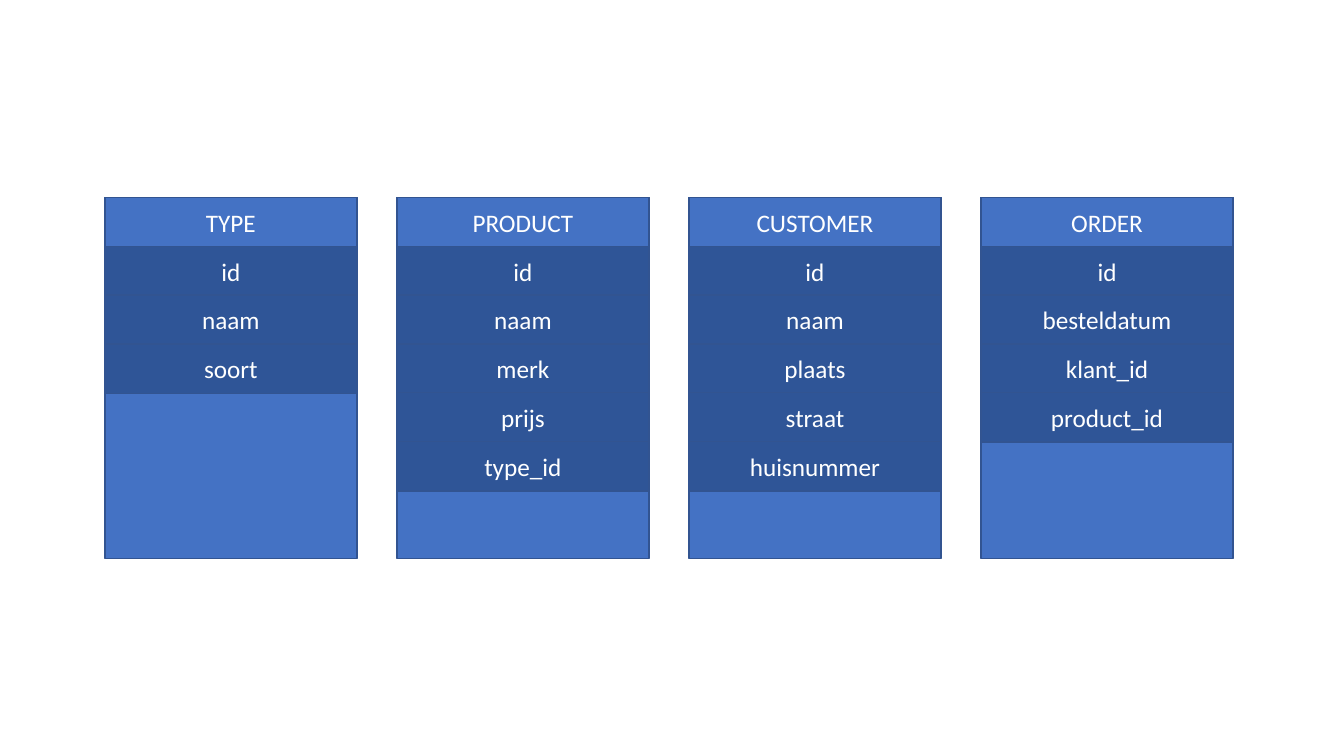
from pptx import Presentation
from pptx.dml.color import RGBColor
from pptx.enum.shapes import MSO_SHAPE
from pptx.enum.text import MSO_ANCHOR, PP_ALIGN
from pptx.util import Inches, Pt

RECTANGLE = MSO_SHAPE.RECTANGLE
MIDDLE = MSO_ANCHOR.MIDDLE
CENTER = PP_ALIGN.CENTER

ENTITIES = {
    "TYPE": ["id", "naam", "soort"],
    "PRODUCT": ["id", "naam", "merk", "prijs", "type_id"],
    "CUSTOMER": ["id", "naam", "plaats", "straat", "huisnummer"],
    "ORDER": ["id", "besteldatum", "klant_id", "product_id"],
}

FONT = "Calibri"
FONT_SIZE = 18
WHITE = "FFFFFF"
ENTITY_FILL = "4472C4"
FIELD_FILL = "2F5597"
OUTLINE = "325491"

FIRST_LEFT, LAST_LEFT = 1.04, 9.73
FIRST_TOP, LAST_TOP = 1.96, 4.38
ENTITY_WIDTH, ENTITY_HEIGHT = 2.5, 3.58
ROW_HEIGHT = 0.49
COLUMN_STEP = (LAST_LEFT - FIRST_LEFT) / (len(ENTITIES) - 1)
ROW_STEP = (LAST_TOP - FIRST_TOP) / max(len(fields) for fields in ENTITIES.values())


def color(value):
    return RGBColor.from_string(value)


def add_box(slide, left, top, height, fill, text=None):
    box = slide.shapes.add_shape(
        RECTANGLE, Inches(left), Inches(top), Inches(ENTITY_WIDTH), Inches(height)
    )
    box.shadow.inherit = False
    box.fill.solid()
    box.fill.fore_color.rgb = color(fill)
    box.line.color.rgb = color(OUTLINE)
    box.line.width = Pt(1)
    if text:
        box.text_frame.vertical_anchor = MIDDLE
        para = box.text_frame.paragraphs[0]
        para.alignment = CENTER
        span = para.add_run()
        span.text = text
        span.font.name = FONT
        span.font.size = Pt(FONT_SIZE)
        span.font.color.rgb = color(WHITE)


deck = Presentation()
deck.slide_width = Inches(13.33)
deck.slide_height = Inches(7.5)
page = deck.slides.add_slide(deck.slide_layouts[6])

for column, (entity, fields) in enumerate(ENTITIES.items()):
    left = FIRST_LEFT + column * COLUMN_STEP
    add_box(page, left, FIRST_TOP, ENTITY_HEIGHT, ENTITY_FILL)
    add_box(page, left, FIRST_TOP, ROW_HEIGHT, ENTITY_FILL, entity)
    for row, field in enumerate(fields, start=1):
        add_box(page, left, FIRST_TOP + row * ROW_STEP, ROW_HEIGHT, FIELD_FILL, field)

deck.save("out.pptx")
